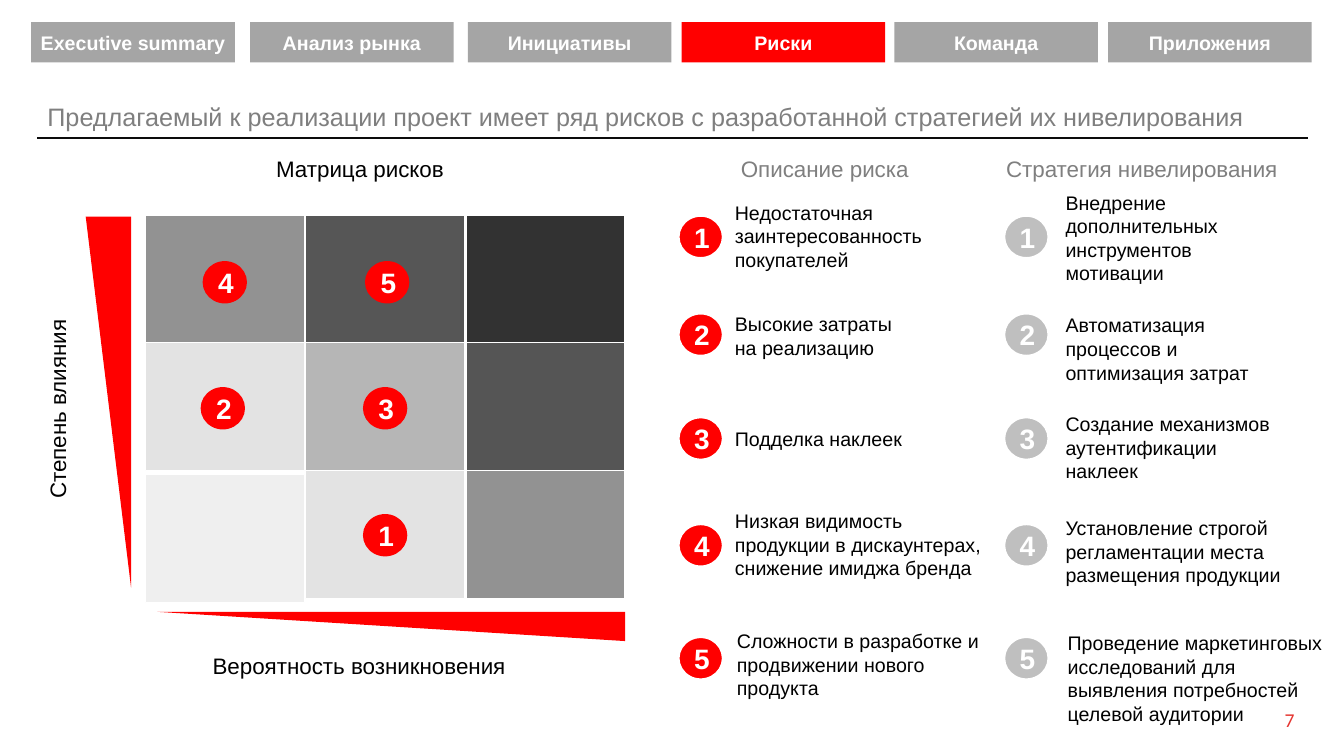
from dataclasses import dataclass

from lxml import etree
from pptx import Presentation
from pptx.dml.color import RGBColor
from pptx.enum.shapes import MSO_CONNECTOR, MSO_SHAPE
from pptx.enum.text import MSO_ANCHOR, MSO_AUTO_SIZE, PP_ALIGN
from pptx.oxml.ns import qn
from pptx.util import Pt

PX = 9144
RECT, OVAL, WEDGE = MSO_SHAPE.RECTANGLE, MSO_SHAPE.OVAL, MSO_SHAPE.RIGHT_TRIANGLE
STRAIGHT = MSO_CONNECTOR.STRAIGHT
TOP, MIDDLE, BOTTOM = MSO_ANCHOR.TOP, MSO_ANCHOR.MIDDLE, MSO_ANCHOR.BOTTOM
LEFT, CENTER, RIGHT = PP_ALIGN.LEFT, PP_ALIGN.CENTER, PP_ALIGN.RIGHT
FIXED = MSO_AUTO_SIZE.NONE


@dataclass(frozen=True)
class Theme:
    """Fonts, colours and type sizes of the slide."""
    font: str = "Arial"
    folio: str = "Calibri"
    red: str = "FF0000"
    rose: str = "E53530"
    black: str = "000000"
    rule: str = "0C0C0C"
    white: str = "FFFFFF"
    gray: str = "7F7F7F"
    tab: str = "A5A5A5"
    pale: str = "BFBFBF"
    title: int = 18
    head: int = 16
    body: int = 14
    badge: int = 20


T = Theme()

TABS = [(31, "Executive summary"), (248, "Анализ рынка"), (464, "Инициативы"),
        (676, "Риски"), (887, "Команда"), (1099, "Приложения")]
HEAT = [["929292", "565656", "323232"],
        ["E3E3E3", "B6B6B6", "555555"],
        ["EFEFEF", "E3E3E3", "929292"]]
SPOTS = [(2, 55, 170), (1, 216, 296), (3, 216, 170), (4, 57, 45), (5, 218, 45)]
ROWS = [214, 311, 414, 520, 632]
RISKS = [
    (719, 194, 234, 81, "Недостаточная\vзаинтересованность\nпокупателей"),
    (719, 305, 234, 57, "Высокие затраты\vна реализацию"),
    (719, 419, 234, 34, "Подделка наклеек"),
    (719, 500, 285, 81,
     "Низкая видимость продукции в дискаунтерах, снижение имиджа бренда"),
    (721, 619, 285, 81, "Сложности в разработке и продвижении нового продукта")]
PLANS = [
    (1047, 184, 234, 104, "Внедрение дополнительных инструментов мотивации"),
    (1047, 306, 234, 81, "Автоматизация процессов и оптимизация затрат"),
    (1047, 404, 234, 81, "Создание механизмов аутентификации наклеек"),
    (1047, 507, 285, 81,
     "Установление строгой регламентации места размещения продукции"),
    (1049, 621, 285, 104,
     "Проведение маркетинговых исследований для выявления потребностей "
     "целевой аудитории")]


def emu(*nums):
    """Turn px lengths into EMU."""
    return [n * PX for n in nums]


def rgb(code):
    """Turn a hex code into a colour."""
    return RGBColor.from_string(code)


def write(shape, text, size, color, align=LEFT, anchor=TOP, pad=(10, 5),
          bold=False, font=T.font, wrap=True):
    """Fill a shape with text of one style."""
    frame = shape.text_frame
    frame.text = text
    frame.auto_size = FIXED
    frame.word_wrap = wrap
    frame.vertical_anchor = anchor
    frame.margin_left, frame.margin_top = frame.margin_right, frame.margin_bottom = emu(*pad)
    for para in frame.paragraphs:
        para.alignment = align
        para.font.name, para.font.size, para.font.bold = font, Pt(size), bold
        para.font.color.rgb = rgb(color)


def label(slide, box, text, size=T.body, color=T.black, **style):
    """Add a text box."""
    note = slide.shapes.add_textbox(*emu(*box))
    write(note, text, size, color, **style)
    return note


def block(slide, kind, box, fill, edge=0):
    """Add a flat shape, with a white edge if a width is given."""
    shape = slide.shapes.add_shape(kind, *emu(*box))
    shape.shadow.inherit = False
    shape.fill.solid()
    shape.fill.fore_color.rgb = rgb(fill)
    if edge:
        shape.line.color.rgb = rgb(T.white)
        shape.line.width = Pt(edge)
    else:
        shape.line.fill.background()
    return shape


def badge(slide, x, y, num, fill=T.red, edge=0):
    """Add a numbered circle."""
    shape = block(slide, OVAL, (x, y, 44, 42), fill, edge)
    write(shape, str(num), T.badge, T.white, CENTER, MIDDLE, (9, 4), True)


def header(slide, box):
    """Place the title and the rule below it."""
    x, y, w, h = box
    title = slide.shapes.title
    title.left, title.top, title.width, title.height = emu(*box)
    write(title, "Предлагаемый к реализации проект имеет ряд рисков "
          "с разработанной стратегией их нивелирования",
          T.title, T.gray, anchor=BOTTOM)
    title.text_frame.paragraphs[0].line_spacing = 0.9
    rule = slide.shapes.add_connector(STRAIGHT, *emu(x, y + h + 1, x + w, y + h + 1))
    rule.line.color.rgb = rgb(T.rule)
    rule.line.width = Pt(2)
    etree.SubElement(rule._element.spPr, qn("a:effectLst"))


def tabs(slide, y, w, h, active):
    """Place the row of section tabs."""
    for x, name in TABS:
        fill = T.red if name == active else T.tab
        write(block(slide, RECT, (x, y, w, h), fill), name,
              T.body, T.white, CENTER, MIDDLE, (0, 5), True)


def matrix(slide, box):
    """Place the heat map with its axes and numbered risks."""
    x, y, w, h = box
    for r, fills in enumerate(HEAT):
        for c, fill in enumerate(fills):
            drop = 4 if (r, c) == (2, 0) else 0
            cell = (x + c * w // 3, y + r * h // 3 + drop, 158, 127)
            block(slide, RECT, cell, fill, 1)
    for wedge in (x + 12, y + 393, 464, 29), (x - 59, y + 1, 45, 368):
        block(slide, WEDGE, wedge, T.red).rotation = 180
    for num, dx, dy in SPOTS:
        badge(slide, x + dx, y + dy, num)
    label(slide, (x + 120, y - 65, 201, 37), "Матрица рисков", T.head, wrap=False)
    label(slide, (x + 57, y + 428, 315, 37), "Вероятность возникновения",
          T.head, wrap=False)
    side = label(slide, (x - 187, y + 172, 200, 37), "Степень влияния",
                 T.head, wrap=False)
    side.rotation = 270


def column(slide, x, head, name, items, fill):
    """Place a heading and its numbered notes."""
    label(slide, head, name, T.head, T.gray, wrap=False)
    for num, (y, item) in enumerate(zip(ROWS, items), 1):
        badge(slide, x, y, num, fill, 1.5)
        label(slide, item[:4], item[4])


def main():
    """Build and save the slide."""
    deck = Presentation()
    deck.slide_width, deck.slide_height = emu(1333, 750)
    slide = deck.slides.add_slide(deck.slide_layouts[5])
    header(slide, (37, 63, 1260, 73))
    tabs(slide, 22, 202, 40, "Риски")
    matrix(slide, (144, 214, 477, 380))
    column(slide, 673, (725, 149, 189, 37), "Описание риска", RISKS, T.red)
    column(slide, 996, (988, 149, 293, 37), "Стратегия нивелирования", PLANS, T.pale)
    label(slide, (1228, 698, 66, 31), "7", T.body, T.rose,
          align=RIGHT, anchor=MIDDLE, font=T.folio)
    deck.save("out.pptx")


if __name__ == "__main__":
    main()
